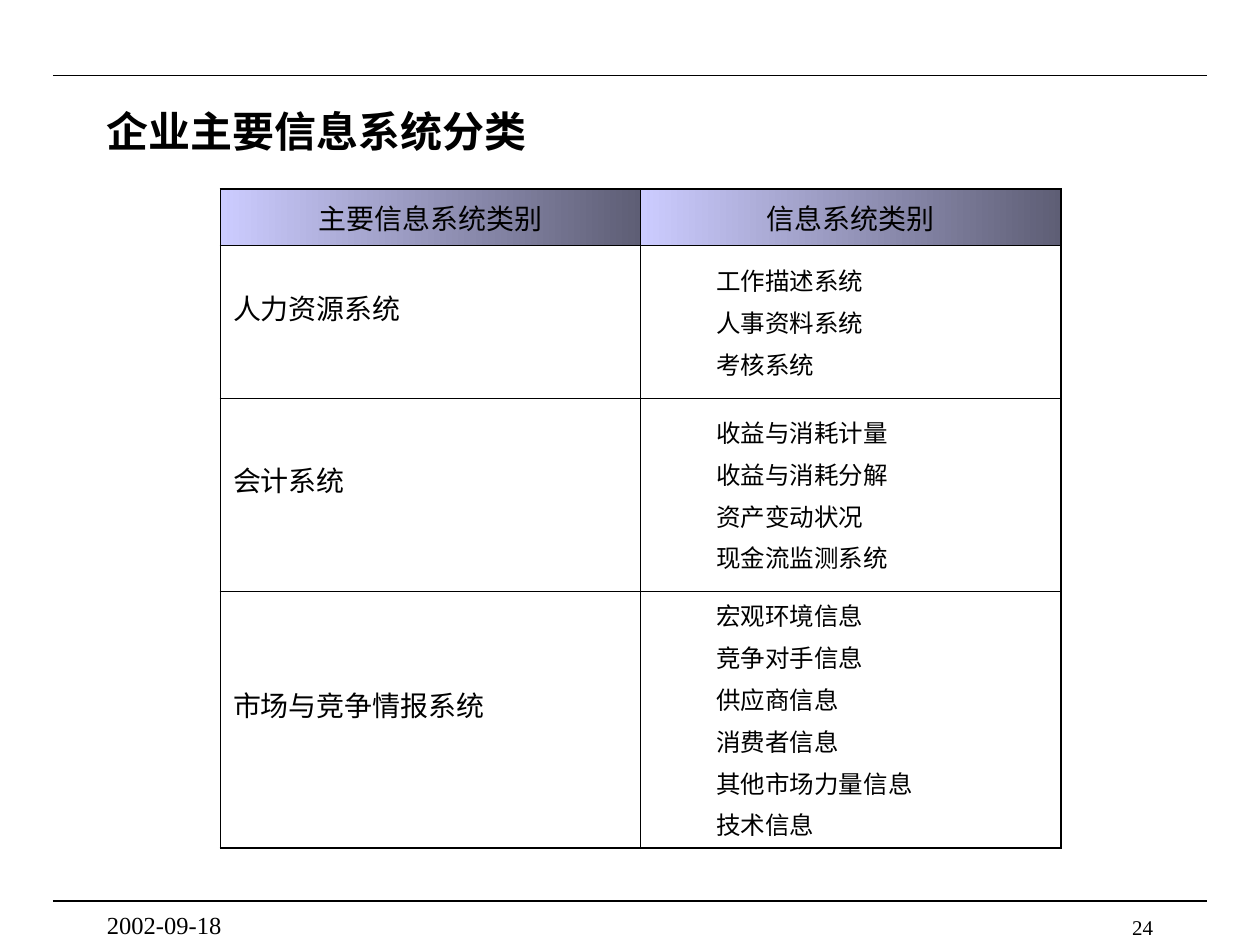
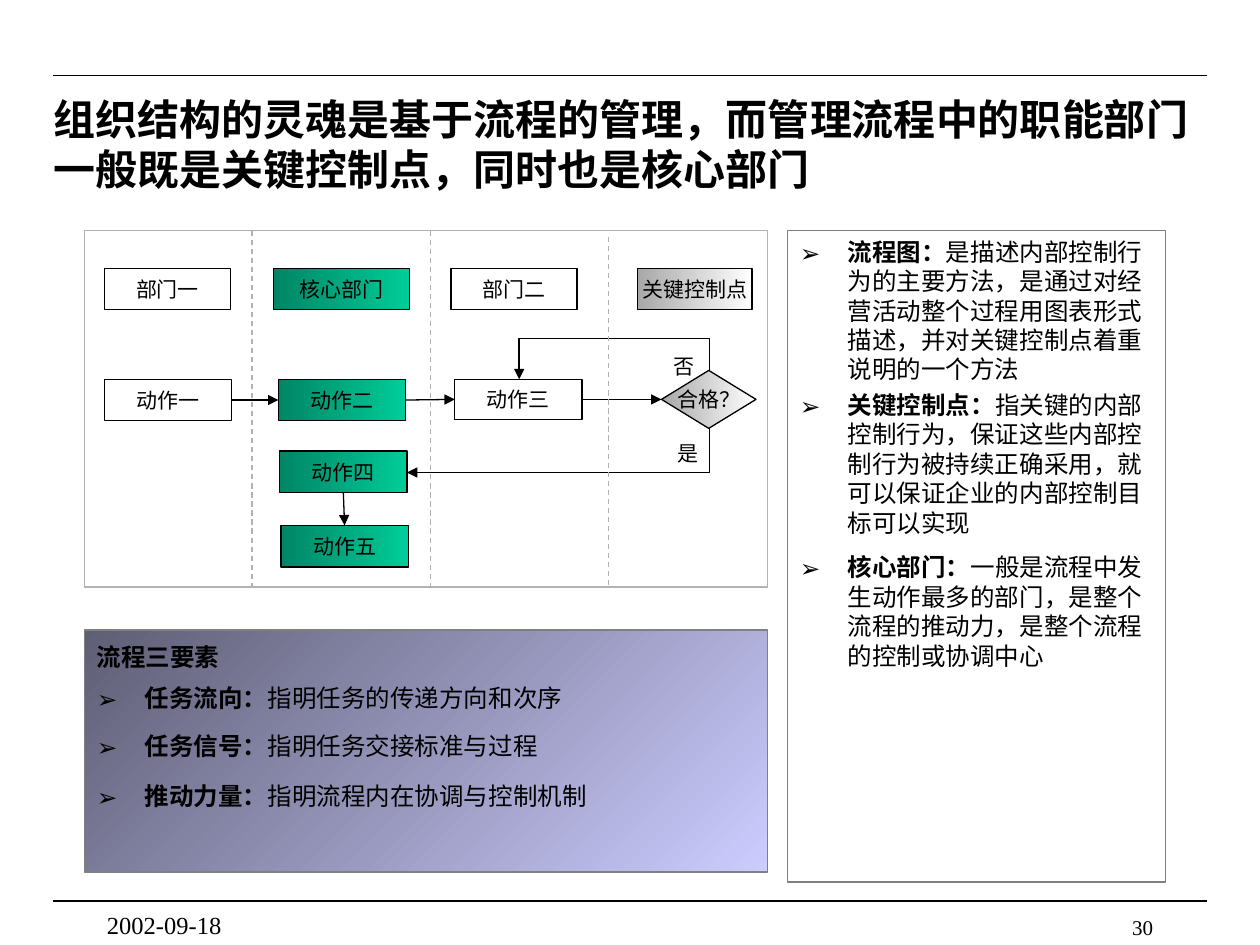
from pptx import Presentation
from pptx.dml.color import RGBColor
from pptx.enum.dml import MSO_LINE
from pptx.enum.shapes import MSO_CONNECTOR, MSO_SHAPE
from pptx.enum.text import MSO_ANCHOR, PP_ALIGN
from pptx.oxml.ns import qn
from pptx.util import Inches, Pt
from lxml import etree

BLACK = RGBColor(0x00, 0x00, 0x00)
WHITE = RGBColor(0xFF, 0xFF, 0xFF)
GRAY = RGBColor(0x80, 0x80, 0x80)
SILVER = RGBColor(0xB2, 0xB2, 0xB2)
LAVENDER = RGBColor(0xCC, 0xCC, 0xFF)
SLATE = RGBColor(0x5E, 0x5E, 0x75)
GREEN = (RGBColor(0x00, 0x86, 0x65), RGBColor(0x00, 0xCC, 0x99))
STEEL = (RGBColor(0xA8, 0xA8, 0xA8), WHITE)

SERIF = "Times New Roman"
SANS = "Noto Sans CJK SC"
RECT, DIAMOND = MSO_SHAPE.RECTANGLE, MSO_SHAPE.DIAMOND
STRAIGHT, ELBOW = MSO_CONNECTOR.STRAIGHT, MSO_CONNECTOR.ELBOW
LEFT, CENTER, RIGHT = PP_ALIGN.LEFT, PP_ALIGN.CENTER, PP_ALIGN.RIGHT
TOP, MIDDLE = MSO_ANCHOR.TOP, MSO_ANCHOR.MIDDLE
DASH = MSO_LINE.DASH
TOP_SIDE, LEFT_SIDE, BOTTOM_SIDE, RIGHT_SIDE = range(4)

WIDTH, HEIGHT = 10, 7.5
MARGIN = 0.42
RULES = (0.6, 7.15)
DATE = "2002-09-18"

SYSTEMS = [
    ("人力资源系统", ["工作描述系统", "人事资料系统", "考核系统"]),
    ("会计系统", ["收益与消耗计量", "收益与消耗分解", "资产变动状况", "现金流监测系统"]),
    ("市场与竞争情报系统", ["宏观环境信息", "竞争对手信息", "供应商信息",
                   "消费者信息", "其他市场力量信息", "技术信息"]),
]
ROW_HEIGHTS = (0.45, 1.21, 1.53, 2.04)

# Bold label, plain text, space before, line spacing
DEFINITIONS = [
    ("流程图：", "是描述内部控制行为的主要方法，是通过对经营活动整个过程用图表形式描述，"
     "并对关键控制点着重说明的一个方法", 0, 1),
    ("关键控制点：", "指关键的内部控制行为，保证这些内部控制行为被持续正确采用，"
     "就可以保证企业的内部控制目标可以实现", 3.5, 1),
    ("核心部门：", "一般是流程中发生动作最多的部门，是整个流程的推动力，"
     "是整个流程的控制或协调中心", 8.8, 1),
]
ELEMENTS = [
    ("任务流向：", "指明任务的传递方向和次序", 3.5, 1.2),
    ("任务信号：", "指明任务交接标准与过程", 3.5, 1.4),
    ("推动力量：", "指明流程内在协调与控制机制", 8.8, 1.2),
]


def inches(*lengths):
    return [Inches(length) for length in lengths]


def add_span(para, text, size, font=SERIF, bold=False):
    span = para.add_run()
    span.text = text
    span.font.size = Pt(size)
    span.font.bold = bold
    span.font.color.rgb = BLACK
    span.font.name = font
    latin = span._r.rPr.find(qn("a:latin"))
    latin.addnext(etree.Element(qn("a:ea"), typeface=SANS))


def next_para(frame):
    """Return the first paragraph while it is empty, else a new one."""
    first = frame.paragraphs[0]
    return frame.add_paragraph() if first.runs else first


def add_para(frame, text, size, align=LEFT, bold=False, font=SERIF, before=0,
             spacing=None, indent=0):
    para = next_para(frame)
    para.alignment = align
    para.space_before = Pt(before)
    para.line_spacing = spacing
    if indent:
        para._p.get_or_add_pPr().set("marL", str(Inches(indent)))
    add_span(para, text, size, font, bold)


def add_bullets(frame, items):
    for label, text, before, spacing in items:
        para = next_para(frame)
        para.alignment = LEFT
        para.space_before = Pt(before)
        para.line_spacing = spacing
        props = para._p.get_or_add_pPr()
        props.set("marL", str(Inches(0.38)))
        props.set("indent", str(-Inches(0.38)))
        color = etree.SubElement(props, qn("a:buClr"))
        etree.SubElement(color, qn("a:srgbClr"), val=str(BLACK))
        etree.SubElement(props, qn("a:buFont"), typeface=SANS)
        etree.SubElement(props, qn("a:buChar"), char="➢")
        add_span(para, label, 14, SANS, bold=True)
        add_span(para, text, 14, SANS)


def paint(fill, colors, angle=0):
    """Fill with nothing, one colour, or a (start, end) gradient."""
    if colors is None:
        fill.background()
    elif isinstance(colors, RGBColor):
        fill.solid()
        fill.fore_color.rgb = colors
    else:
        fill.gradient()
        fill.gradient_angle = angle
        for stop, color in zip(fill.gradient_stops, colors):
            stop.color.rgb = color


def add_text(page, place, text, size, anchor=TOP, wrap=True, **style):
    frame = page.shapes.add_textbox(*inches(*place)).text_frame
    frame.word_wrap = wrap
    frame.vertical_anchor = anchor
    add_para(frame, text, size, **style)


def add_box(page, place, colors=None, border=BLACK, kind=RECT, angle=0):
    box = page.shapes.add_shape(kind, *inches(*place))
    box.shadow.inherit = False
    paint(box.fill, colors, angle)
    box.line.color.rgb = border
    box.line.width = Pt(0.75)
    box.text_frame.vertical_anchor = TOP
    box.text_frame.word_wrap = True
    return box


def add_step(page, text, place, colors=None, kind=RECT):
    step = add_box(page, place, colors, kind=kind)
    step.text_frame.vertical_anchor = MIDDLE
    step.text_frame.word_wrap = False
    add_para(step.text_frame, text, 12, CENTER)
    return step


def add_line(page, start, end, color=BLACK, dash=None, arrow=False, kind=STRAIGHT):
    line = page.shapes.add_connector(kind, *inches(*start, *end))
    line.line.color.rgb = color
    line.line.width = Pt(0.75)
    if dash:
        line.line.dash_style = dash
    if arrow:
        etree.SubElement(line.line._get_or_add_ln(), qn("a:tailEnd"), type="triangle")
    etree.SubElement(line.element.spPr, qn("a:effectLst"))
    return line


def join(page, source, source_side, target, target_side):
    line = add_line(page, (0, 0), (1, 1), arrow=True)
    line.begin_connect(source, source_side)
    line.end_connect(target, target_side)


def add_elbow(page, start, end, bend=None):
    """Arrow that leaves start vertically and ends lower and to the left.

    With bend, it turns at that share of the drop and ends vertically.
    """
    (x1, y1), (x2, y2) = start, end
    drop, run = y2 - y1, x1 - x2
    left, top = (x1 + x2 - drop) / 2, (y1 + y2 - run) / 2
    line = add_line(page, (left, top), (left + drop, top + run), arrow=True, kind=ELBOW)
    props = line.element.spPr
    props.find(qn("a:xfrm")).set("rot", str(90 * 60000))
    shape = props.find(qn("a:prstGeom"))
    if bend is None:
        shape.set("prst", "bentConnector2")
    else:
        guides = shape.find(qn("a:avLst"))
        etree.SubElement(guides, qn("a:gd"), name="adj1", fmla=f"val {round(bend * 100000)}")


def add_page(deck, title, title_place, number):
    page = deck.slides.add_slide(deck.slide_layouts[6])
    for y in RULES:
        add_line(page, (MARGIN, y), (WIDTH - MARGIN, y))
    add_text(page, title_place, title, 24, MIDDLE, bold=True)
    add_text(page, (7.17, 7.21, 2.08, 0.17), number, 12, align=RIGHT)
    add_text(page, (0.75, 7.17, 2.08, 0.25), DATE, 14)
    return page


def set_borders(cell, widths):
    """Draw left, right, top and bottom borders, ahead of the cell's fill."""
    props = cell._tc.get_or_add_tcPr()
    for index, (side, width) in enumerate(zip("LRTB", widths)):
        line = etree.Element(qn(f"a:ln{side}"), w=str(Pt(width)))
        fill = etree.SubElement(line, qn("a:solidFill"))
        etree.SubElement(fill, qn("a:srgbClr"), val=str(BLACK))
        props.insert(index, line)


def add_system_table(page):
    rows, columns = len(ROW_HEIGHTS), 2
    table = page.shapes.add_table(
        rows, columns, *inches(1.75, 1.5, 6.67, sum(ROW_HEIGHTS))).table
    table.first_row = table.horz_banding = False
    for row, height in zip(table.rows, ROW_HEIGHTS):
        row.height = Inches(height)
    for column, text in enumerate(("主要信息系统类别", "信息系统类别")):
        add_para(table.cell(0, column).text_frame, text, 16, CENTER)
    for row, (system, parts) in enumerate(SYSTEMS, 1):
        name_cell = table.cell(row, 0)
        name_cell.margin_bottom = Inches(0.29)
        add_para(name_cell.text_frame, system, 16)
        for index, part in enumerate(parts):
            add_para(table.cell(row, 1).text_frame, part, 14, indent=0.5,
                     before=3.5 if index else 0)
    for row in range(rows):
        for column in range(columns):
            cell = table.cell(row, column)
            cell.vertical_anchor = MIDDLE
            paint(cell.fill, None if row else (LAVENDER, SLATE))
            outer = (column == 0, column == columns - 1, row == 0, row == rows - 1)
            set_borders(cell, [1.08 if edge else 0.45 for edge in outer])


def add_flow(page):
    left, top, width, height = 0.67, 1.83, 5.42, 2.83
    add_box(page, (left, top, width, height), WHITE, SILVER)
    for text, x, box_width, colors in (
            ("部门一", 0.83, 1, None), ("核心部门", 2.17, 1.08, GREEN),
            ("部门二", 3.58, 1, None), ("关键控制点", 5.06, 0.91, STEEL)):
        add_step(page, text, (x, 2.13, box_width, 0.33), colors)

    size = (1.01, 0.33)
    first = add_step(page, "动作一", (0.83, 3.01, *size))
    second = add_step(page, "动作二", (2.21, 3.01, *size), GREEN)
    third = add_step(page, "动作三", (3.61, 3.01, 1.01, 0.32))
    fourth = add_step(page, "动作四", (2.22, 3.58, *size), GREEN)
    fifth = add_step(page, "动作五", (2.23, 4.17, *size), GREEN)
    check = add_step(page, "合格？", (5.25, 2.94, 0.75, 0.46), STEEL, DIAMOND)
    for text, x, y in (("是", 5.28, 3.45), ("否", 5.25, 2.76)):
        add_text(page, (x, y, 0.36, 0.3), text, 12, MIDDLE, wrap=False, align=CENTER)

    for source, target in ((first, second), (second, third), (third, check)):
        join(page, source, RIGHT_SIDE, target, LEFT_SIDE)
    join(page, fourth, BOTTOM_SIDE, fifth, TOP_SIDE)
    add_elbow(page, (5.63, 2.94), (4.12, 3.01), bend=-3.6)
    add_elbow(page, (5.63, 3.4), (3.23, 3.75))
    for lane in range(3):
        x = 2 + lane * 1.415
        lane_top = top + (0.05 if lane == 2 else 0)
        add_line(page, (x, lane_top), (x, top + height), SILVER, DASH)


def main():
    deck = Presentation()
    deck.slide_width, deck.slide_height = inches(WIDTH, HEIGHT)

    page = add_page(deck, "企业主要信息系统分类", (0.75, 0.7, 8.5, 0.67), "24")
    add_system_table(page)

    page = add_page(deck, "组织结构的灵魂是基于流程的管理，而管理流程中的职能部门"
                    "一般既是关键控制点，同时也是核心部门",
                    (0.33, 0.7, 9.25, 0.88), "30")
    definitions = add_box(page, (6.25, 1.83, 3, 5.17), border=GRAY)
    add_bullets(definitions.text_frame, DEFINITIONS)
    add_flow(page)
    elements = add_box(page, (0.67, 5, 5.42, 1.92), (SLATE, LAVENDER), GRAY, angle=315)
    add_para(elements.text_frame, "流程三要素", 14, bold=True, font=SANS, spacing=1.2)
    add_bullets(elements.text_frame, ELEMENTS)

    deck.save("out.pptx")


if __name__ == "__main__":
    main()
